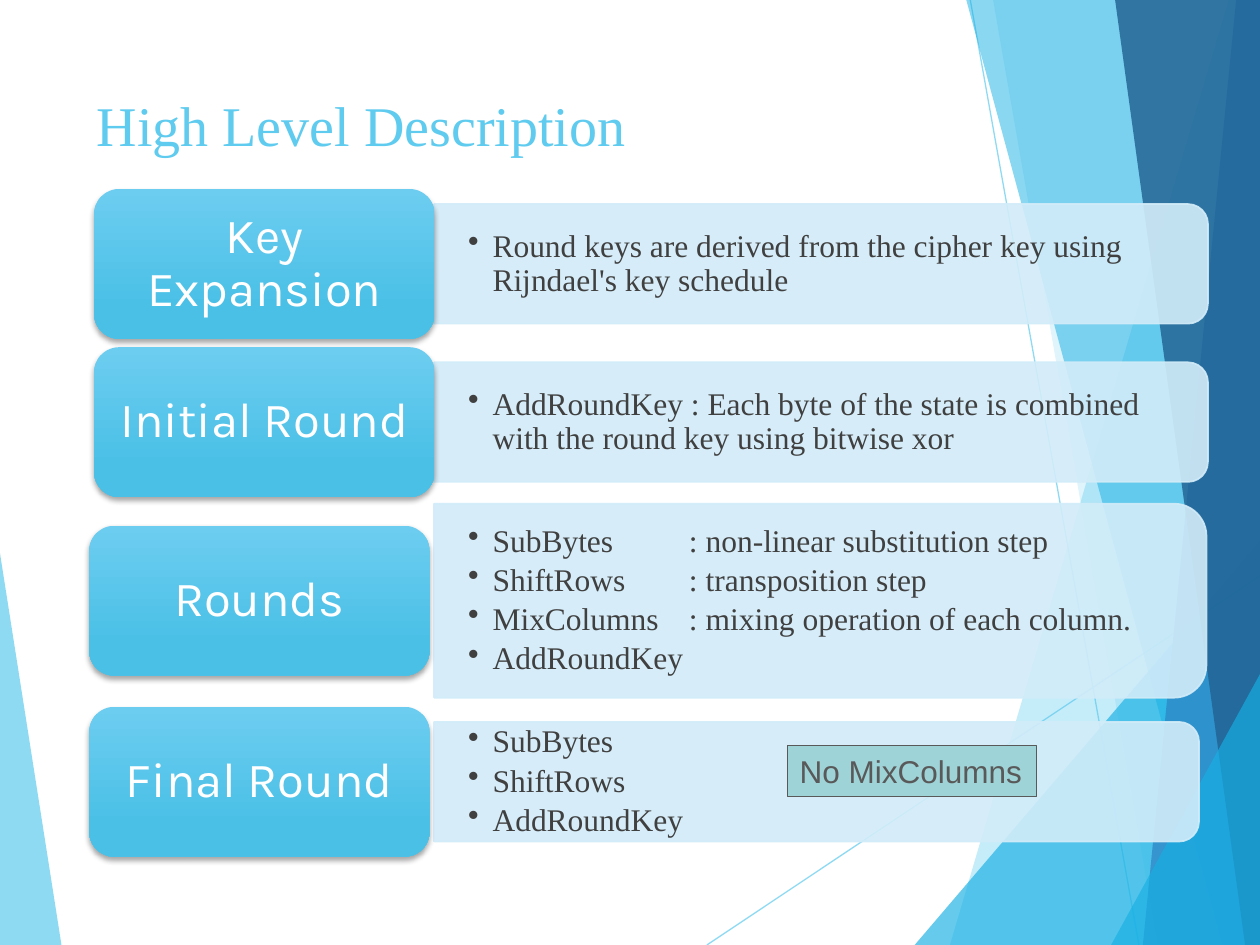
from lxml.etree import SubElement
from pptx import Presentation
from pptx.dml.color import RGBColor
from pptx.enum.shapes import MSO_CONNECTOR as Connector, MSO_SHAPE as Preset
from pptx.enum.text import MSO_ANCHOR as Anchor, MSO_AUTO_SIZE as AutoSize, PP_ALIGN as Align
from pptx.oxml.ns import qn
from pptx.util import Cm, Pt

WIDTH, HEIGHT = 25.4, 19.05
SKY, AZURE, BLUE, NAVY = "5FCBEF", "17B0E4", "2E83C3", "226292"
PALE, WHITE, INK, GREY, TEAL = "D2ECF9", "FFFFFF", "404040", "595959", "9ED3D7"
SERIF = "Times New Roman"
PANEL_LEFT, LABEL_WIDTH, LABEL_HEIGHT = 8.75, 6.86, 3.02
HANGING = 0.49
STEP_TAB = 4.45

STAGES = [
    ("Key Expansion", 1.9, 5.32, 15.6, 2.41,
     ["Round keys are derived from the cipher key using Rijndael's key schedule"]),
    ("Initial Round", 1.9, 8.51, 15.6, 2.41,
     ["AddRoundKey : Each byte of the state is combined with the round key using bitwise xor"]),
    ("Rounds", 1.8, 12.11, 15.57, 3.91,
     ["SubBytes\t: non-linear substitution step", "ShiftRows\t: transposition step",
      "MixColumns\t: mixing operation of each column.", "AddRoundKey"]),
    ("Final Round", 1.8, 15.76, 15.42, 2.41, ["SubBytes", "ShiftRows", "AddRoundKey"]),
]


def rgb(color):
    """Turn a hex string into a colour."""
    return RGBColor.from_string(color)


def assign(target, values):
    """Set every attribute named in a dict."""
    for name, value in values.items():
        setattr(target, name, value)


def add_xml(parent, tag, **attributes):
    """Append a DrawingML child element."""
    child = SubElement(parent, qn(tag))
    for name, value in attributes.items():
        child.set(name, str(value))
    return child


def set_opacity(shape, percent):
    """Make all colours of a shape partly transparent."""
    for color in list(shape._element.spPr.iter(qn("a:srgbClr"))):
        add_xml(color, "a:alpha", val=percent * 1000)


def paint(shape, fill, line=None, weight=1, opacity=100):
    """Give a shape a flat fill, an outline and no shadow."""
    shape.shadow.inherit = False
    shape.fill.solid()
    shape.fill.fore_color.rgb = rgb(fill)
    if line:
        shape.line.color.rgb = rgb(line)
        shape.line.width = Pt(weight)
    else:
        shape.line.fill.background()
    if opacity < 100:
        set_opacity(shape, opacity)


def set_frame(frame, side, edge, **values):
    """Set the insets and the behaviour of a text frame."""
    assign(frame, dict(margin_left=Cm(side), margin_right=Cm(side),
                       margin_top=Cm(edge), margin_bottom=Cm(edge),
                       word_wrap=True, **values))


def write(frame, lines, font, size, color, **layout):
    """Write one paragraph per line and return the paragraphs."""
    for index, line in enumerate(lines):
        paragraph = frame.add_paragraph() if index else frame.paragraphs[0]
        assign(paragraph, layout)
        run = paragraph.add_run()
        run.text = line
        assign(run.font, {"name": font, "size": Pt(size)})
        run.font.color.rgb = rgb(color)
    return frame.paragraphs


def add_facet(shapes, corners, color, opacity):
    """Add a translucent polygon of the backdrop."""
    (start, *others) = [(Cm(x), Cm(y)) for x, y in corners]
    builder = shapes.build_freeform(*start)
    builder.add_line_segments(others, close=True)
    paint(builder.convert_to_shape(), color, opacity=opacity)


def add_ray(shapes, start, end):
    """Add a thin translucent line of the backdrop."""
    ray = shapes.add_connector(Connector.STRAIGHT, *map(Cm, start + end))
    ray.line.color.rgb = rgb(SKY)
    ray.line.width = Pt(0.75)
    set_opacity(ray, 70)
    add_xml(ray._element.spPr, "a:effectLst")


def band(top, bottom):
    """Return the corners of a band reaching to the right edge."""
    return [(top, 0), (bottom, HEIGHT), (WIDTH, HEIGHT), (WIDTH, 0)]


def corner(left, top):
    """Return the corners of a triangle in the lower right."""
    return [(left, HEIGHT), (WIDTH, top), (WIDTH, HEIGHT)]


def add_backdrop(shapes):
    """Add the facets and rays behind the content."""
    add_facet(shapes, [(0, 11.15), (1.24, HEIGHT), (0, HEIGHT)], SKY, 70)
    add_ray(shapes, (14.25, HEIGHT), (WIDTH, 11.61))
    add_ray(shapes, (19.56, 0), (22.96, HEIGHT))
    for corners, color, opacity in [
        (band(24.77, 19.15), SKY, 36),
        (band(20.02, 23.34), SKY, 20),
        (corner(18.44, 10.9), AZURE, 66),
        (band(19.48, 24.64), AZURE, 50),
        (band(24.92, 23.04), BLUE, 70),
        (band(22.48, 25.1), NAVY, 82),
        (corner(22.4, 13.59), AZURE, 66),
    ]:
        add_facet(shapes, corners, color, opacity)


def add_panel(shapes, middle, width, height, steps):
    """Add a panel rounded on the right with its bulleted steps."""
    center = PANEL_LEFT + width / 2
    panel = shapes.add_shape(Preset.ROUND_2_SAME_RECTANGLE, Cm(center - height / 2),
                             Cm(middle - width / 2), Cm(height), Cm(width))
    panel.rotation = 90
    paint(panel, PALE, PALE, opacity=90)
    text_height = 0.9 * height
    box = shapes.add_textbox(Cm(PANEL_LEFT), Cm(middle - text_height / 2),
                             Cm(width - 0.13), Cm(text_height))
    set_frame(box.text_frame, 0.69, 0.35, vertical_anchor=Anchor.MIDDLE)
    for paragraph in write(box.text_frame, steps, SERIF, 18, INK,
                           line_spacing=0.9, space_after=Pt(3)):
        properties = paragraph._p.get_or_add_pPr()
        properties.set("marL", str(Cm(HANGING)))
        properties.set("indent", str(-Cm(HANGING)))
        add_xml(properties, "a:buChar", char="•")
        if "\t" in paragraph.text:
            stops = add_xml(properties, "a:tabLst")
            add_xml(stops, "a:tab", pos=Cm(STEP_TAB), algn="l")


def add_label(shapes, name, left, middle):
    """Add the shaded, rounded label of a stage."""
    label = shapes.add_shape(Preset.ROUNDED_RECTANGLE, Cm(left), Cm(middle - LABEL_HEIGHT / 2),
                             Cm(LABEL_WIDTH), Cm(LABEL_HEIGHT))
    label.line.fill.background()
    label.fill.gradient()
    label.fill.gradient_angle = 270
    for stop, (position, color) in zip(label.fill.gradient_stops,
                                       [(0, "6CCDF0"), (0.78, "4BC0E6")]):
        stop.position = position
        stop.color.rgb = rgb(color)
    label.shadow.inherit = False
    effects = label._element.spPr.find(qn("a:effectLst"))
    shadow = add_xml(effects, "a:outerShdw", blurRad=Pt(3), dist=Pt(2), dir=90 * 60000,
                     rotWithShape=0)
    add_xml(add_xml(shadow, "a:srgbClr", val="000000"), "a:alpha", val=35000)
    set_frame(label.text_frame, 0.3, 0.15, vertical_anchor=Anchor.MIDDLE)
    write(label.text_frame, [name], "Karla", 28, WHITE, alignment=Align.CENTER, line_spacing=0.9)


def add_title(shapes, title):
    """Add the heading of the slide."""
    box = shapes.add_textbox(Cm(1.7), Cm(1.7), Cm(17.63), Cm(3.66))
    set_frame(box.text_frame, 0.25, 0.13)
    write(box.text_frame, [title], SERIF, 32, SKY)


def add_remark(shapes, remark):
    """Add the boxed remark on the last stage."""
    box = shapes.add_shape(Preset.RECTANGLE, Cm(15.87), Cm(15.03), Cm(5.03), Cm(1.03))
    paint(box, TEAL, GREY, 0.75)
    set_frame(box.text_frame, 0.25, 0.13, auto_size=AutoSize.SHAPE_TO_FIT_TEXT)
    box.text_frame.word_wrap = False
    write(box.text_frame, [remark], "Arial", 18, GREY, alignment=Align.LEFT)


def main():
    """Build the slide and save it."""
    deck = Presentation()
    assign(deck, {"slide_width": Cm(WIDTH), "slide_height": Cm(HEIGHT)})
    shapes = deck.slides.add_slide(deck.slide_layouts[6]).shapes
    add_backdrop(shapes)
    add_title(shapes, "High Level Description")
    for name, left, middle, width, height, steps in STAGES:
        add_panel(shapes, middle, width, height, steps)
        add_label(shapes, name, left, middle)
    add_remark(shapes, "No MixColumns")
    deck.save("out.pptx")


if __name__ == "__main__":
    main()
